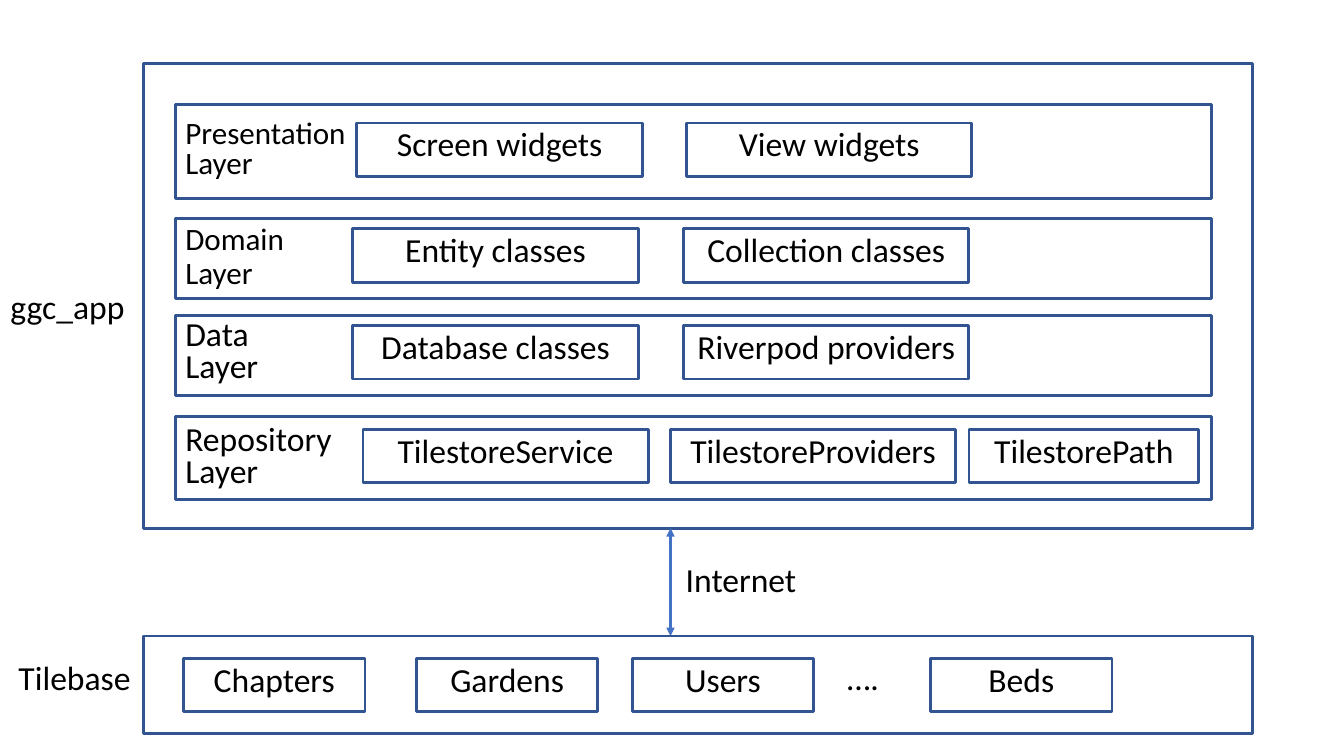
import pptx
import pptx.dml.color
import pptx.enum.shapes
import pptx.enum.text
import pptx.oxml
import pptx.oxml.ns
import pptx.util

Inches = pptx.util.Inches
Align = pptx.enum.text.PP_ALIGN
BORDER, ARROW, INK = "325491", "4472C4", "000000"
FRAME_FORMAT = {
    "word_wrap": True,
    "auto_size": pptx.enum.text.MSO_AUTO_SIZE.NONE,
    "vertical_anchor": pptx.enum.text.MSO_ANCHOR.TOP,
}
CARD_HEIGHT = 0.53
LABEL_SIZE = (2.16, 0.7)

LAYERS = [
    {"name": "Presentation\vLayer", "top": 0.41, "height": 0.93, "size": 22.2,
     "spacing": 0.8, "label": (0.11, 1.8), "card_top": 0.18,
     "cards": [("Screen widgets", 1.8, 2.83), ("View widgets", 5.07, 2.83)]},
    {"name": "Domain\vLayer", "top": 1.54, "height": 0.79, "size": 22.2,
     "spacing": 0.9, "label": (0, 1.24), "card_top": 0.1,
     "cards": [("Entity classes", 1.76, 2.83), ("Collection classes", 5.04, 2.83)]},
    {"name": "Data\vLayer", "top": 2.5, "height": 0.79, "size": 24,
     "spacing": 0.8, "label": (0, 1.24), "card_top": 0.1,
     "cards": [("Database classes", 1.76, 2.83), ("Riverpod providers", 5.04, 2.83)]},
    {"name": "Repository\vLayer", "top": 3.5, "height": 0.83, "size": 24,
     "spacing": 0.8, "label": (0.04, 1.68), "card_top": 0.13,
     "cards": [("TilestoreService", 1.86, 2.83), ("TilestoreProviders", 4.91, 2.83),
               ("TilestorePath", 7.87, 2.28)]},
]
COLLECTIONS = [("Chapters", 0.4), ("Gardens", 2.71), ("Users", 4.85), ("Beds", 7.81)]


def color(value):
    return pptx.dml.color.RGBColor.from_string(value)


def apply_format(target, values):
    for name, value in values.items():
        setattr(target, name, value)


def write(shape, text, size=24, spacing=0.9, alignment=Align.CENTER):
    apply_format(shape.text_frame, FRAME_FORMAT)
    paragraph = shape.text_frame.paragraphs[0]
    paragraph.text = text
    apply_format(paragraph, {"alignment": alignment, "line_spacing": spacing,
                             "space_before": pptx.util.Pt(0)})
    for run in paragraph.runs:
        apply_format(run.font, {"name": "Calibri", "size": pptx.util.Pt(size)})
        run.font.color.rgb = color(INK)


def add_label(slide, box, text, **text_format):
    label = slide.shapes.add_textbox(*map(Inches, box))
    write(label, text, **text_format)


def add_box(slide, box, text=None):
    shape = slide.shapes.add_shape(
        pptx.enum.shapes.MSO_SHAPE.RECTANGLE, *map(Inches, box))
    shape.shadow.inherit = False
    shape.fill.background()
    shape.line.color.rgb = color(BORDER)
    shape.line.width = pptx.util.Pt(2)
    if text:
        write(shape, text)


def add_layer(slide, box, layer):
    left, top, width, height = box
    add_box(slide, box)
    label_top, label_width = layer["label"]
    add_label(slide, (left, top + label_top, label_width, 0.79), layer["name"],
              size=layer["size"], spacing=layer["spacing"], alignment=Align.LEFT)
    for text, offset, card_width in layer["cards"]:
        add_box(slide, (left + offset, top + layer["card_top"],
                        card_width, CARD_HEIGHT), text)


def add_app(slide, box):
    left, top, width, height = box
    add_box(slide, box)
    add_label(slide, (left - 1.83, top + 2.2, *LABEL_SIZE), "ggc_app")
    for layer in LAYERS:
        add_layer(slide, (left + 0.32, top + layer["top"], 10.28, layer["height"]), layer)


def add_network(slide, box):
    left, top, width, height = box
    connector = slide.shapes.add_connector(
        pptx.enum.shapes.MSO_CONNECTOR.STRAIGHT,
        *map(Inches, (left, top, left, top + height)))
    connector.line.color.rgb = color(ARROW)
    connector.line.width = pptx.util.Pt(2)
    line = connector.line._get_or_add_ln()
    for tag in ("a:headEnd", "a:tailEnd"):
        arrowhead = pptx.oxml.ns.qn(tag)
        line.append(line.makeelement(arrowhead, {"type": "triangle"}))
    properties = line.getparent()
    properties.append(properties.makeelement(pptx.oxml.ns.qn("a:effectLst"), {}))
    add_label(slide, (left - 0.38, top + 0.3, *LABEL_SIZE), "Internet")


def add_backend(slide, box):
    left, top, width, height = box
    add_box(slide, box)
    subtitle = slide.placeholders[1]
    position = (left - 1.76, top + 0.2, *LABEL_SIZE)
    apply_format(subtitle, dict(zip(("left", "top", "width", "height"),
                                    map(Inches, position))))
    write(subtitle, "Tilebase")
    for text, offset in COLLECTIONS:
        add_box(slide, (left + offset, top + 0.22, 1.8, CARD_HEIGHT), text)
    add_label(slide, (left + 6.06, top + 0.2, *LABEL_SIZE), "….")


presentation = pptx.Presentation()
apply_format(presentation, {"slide_width": Inches(13.33), "slide_height": Inches(7.5)})
slide = presentation.slides.add_slide(presentation.slide_layouts[0])
title = slide.shapes.title.element
title.getparent().remove(title)
add_app(slide, (1.42, 0.63, 11, 4.61))
add_network(slide, (6.65, 5.24, 2.16, 1.07))
add_backend(slide, (1.42, 6.31, 11, 0.97))
presentation.save("out.pptx")
